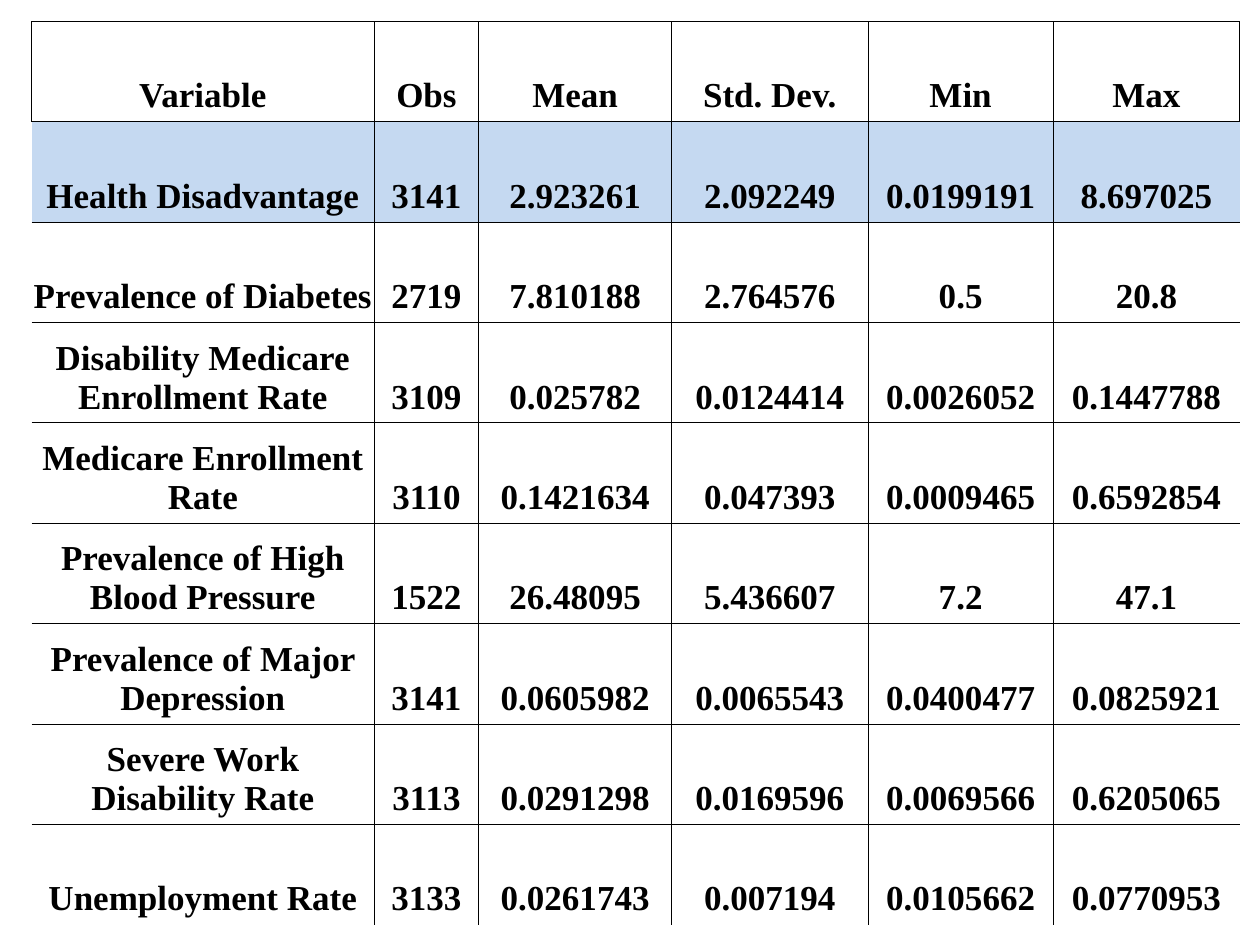
from pptx import Presentation
from pptx.dml.color import RGBColor
from pptx.enum.text import MSO_ANCHOR, PP_ALIGN
from pptx.oxml.ns import qn
from pptx.util import Inches, Pt
from lxml.etree import SubElement

COLORS = {"ink": "000000", "highlight": "C5D9F1"}
FONT = "Times New Roman"
COLUMN_WIDTHS = [2.72, 0.83, 1.53, 1.56, 1.47, 1.48]
TABLE_HEIGHT = 7.17
HIGHLIGHT_ROW = 1
ROWS = [
    ["Variable", "Obs", "Mean", "Std. Dev.", "Min", "Max"],
    ["Health Disadvantage", "3141", "2.923261", "2.092249", "0.0199191", "8.697025"],
    ["Prevalence of Diabetes", "2719", "7.810188", "2.764576", "0.5", "20.8"],
    ["Disability Medicare Enrollment Rate", "3109", "0.025782", "0.0124414", "0.0026052", "0.1447788"],
    ["Medicare Enrollment Rate", "3110", "0.1421634", "0.047393", "0.0009465", "0.6592854"],
    ["Prevalence of High Blood Pressure", "1522", "26.48095", "5.436607", "7.2", "47.1"],
    ["Prevalence of Major Depression", "3141", "0.0605982", "0.0065543", "0.0400477", "0.0825921"],
    ["Severe Work Disability Rate", "3113", "0.0291298", "0.0169596", "0.0069566", "0.6205065"],
    ["Unemployment Rate", "3133", "0.0261743", "0.007194", "0.0105662", "0.0770953"],
]


def write_text(cell, text, size=20, bold=True, color="ink", align=PP_ALIGN.CENTER):
    cell.vertical_anchor = MSO_ANCHOR.BOTTOM
    cell.margin_left = cell.margin_right = Inches(0.01)
    cell.margin_top = cell.margin_bottom = Inches(0.05)
    para = cell.text_frame.paragraphs[0]
    para.alignment = align
    span = para.add_run()
    span.text = text
    span.font.name = FONT
    span.font.size = Pt(size)
    span.font.bold = bold
    span.font.color.rgb = RGBColor.from_string(COLORS[color])


def set_borders(cell, visible, width=0.45):
    properties = cell._tc.get_or_add_tcPr()
    for side in "LRTB":
        line = SubElement(properties, qn(f"a:ln{side}"), w=str(Pt(width)))
        if side in visible:
            fill = SubElement(line, qn("a:solidFill"))
            SubElement(fill, qn("a:srgbClr"), val=COLORS["ink"])
        else:
            SubElement(line, qn("a:noFill"))


def visible_sides(row, column):
    sides = set("LRTB")
    if row > 0 and column == 0:
        sides.discard("L")
    if row > 0 and column == len(COLUMN_WIDTHS) - 1:
        sides.discard("R")
    if row == len(ROWS) - 1:
        sides.discard("B")
    return sides


def fill_cell(cell, color=None):
    if color:
        cell.fill.solid()
        cell.fill.fore_color.rgb = RGBColor.from_string(COLORS[color])
    else:
        cell.fill.background()


def add_statistics_table(page):
    frame = page.shapes.add_table(
        len(ROWS), len(COLUMN_WIDTHS), Inches(0.25), Inches(0.17),
        Inches(sum(COLUMN_WIDTHS)), Inches(TABLE_HEIGHT))
    table = frame.table
    table.first_row = table.horz_banding = False
    for column, width in zip(table.columns, COLUMN_WIDTHS):
        column.width = Inches(width)
    for row, values in enumerate(ROWS):
        table.rows[row].height = Inches(TABLE_HEIGHT / len(ROWS))
        for column, text in enumerate(values):
            cell = table.cell(row, column)
            write_text(cell, text)
            set_borders(cell, visible_sides(row, column))
            fill_cell(cell, "highlight" if row == HIGHLIGHT_ROW else None)


def main():
    deck = Presentation()
    deck.slide_width, deck.slide_height = Inches(10), Inches(7.5)
    page = deck.slides.add_slide(deck.slide_layouts[6])
    add_statistics_table(page)
    deck.save("out.pptx")


if __name__ == "__main__":
    main()
